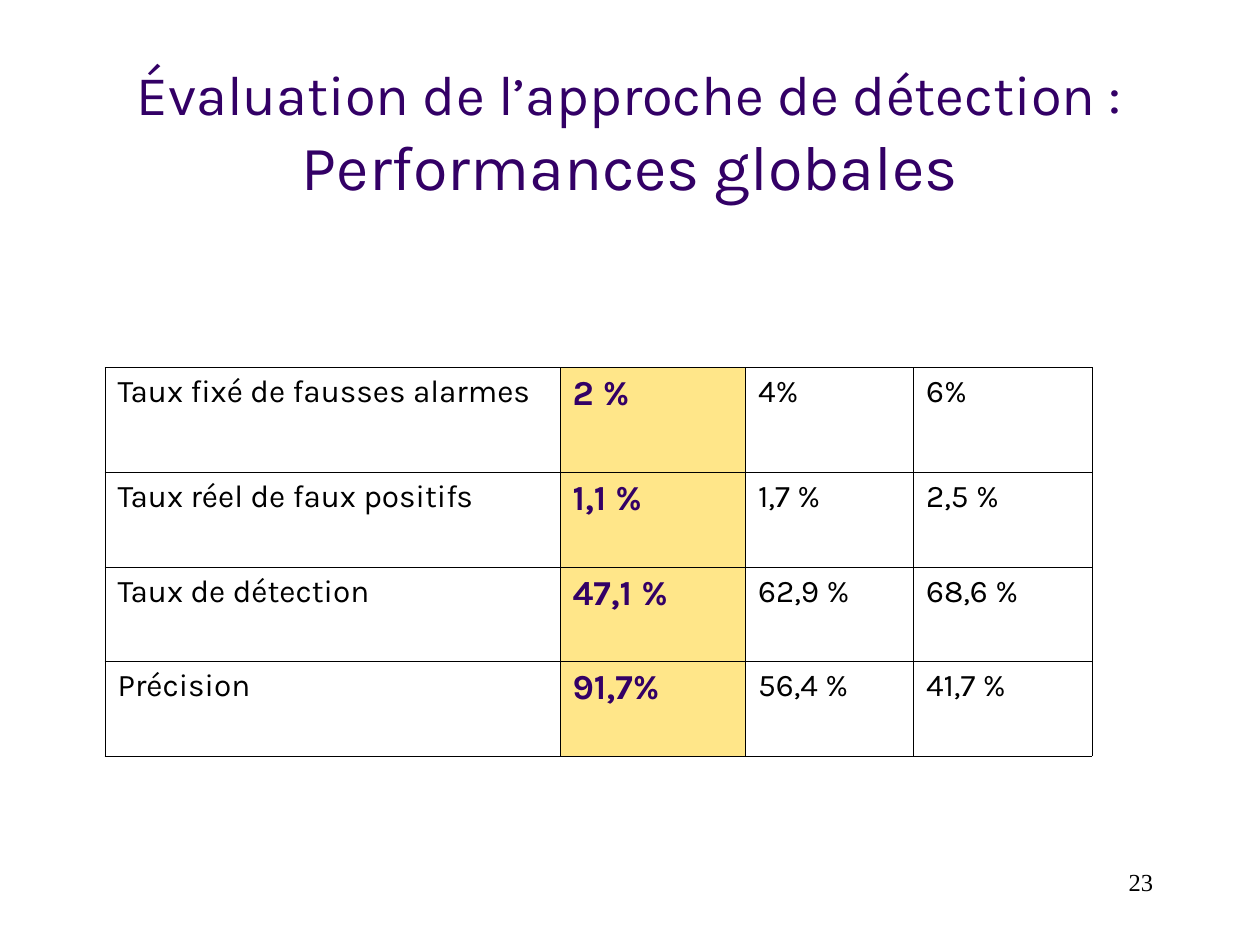
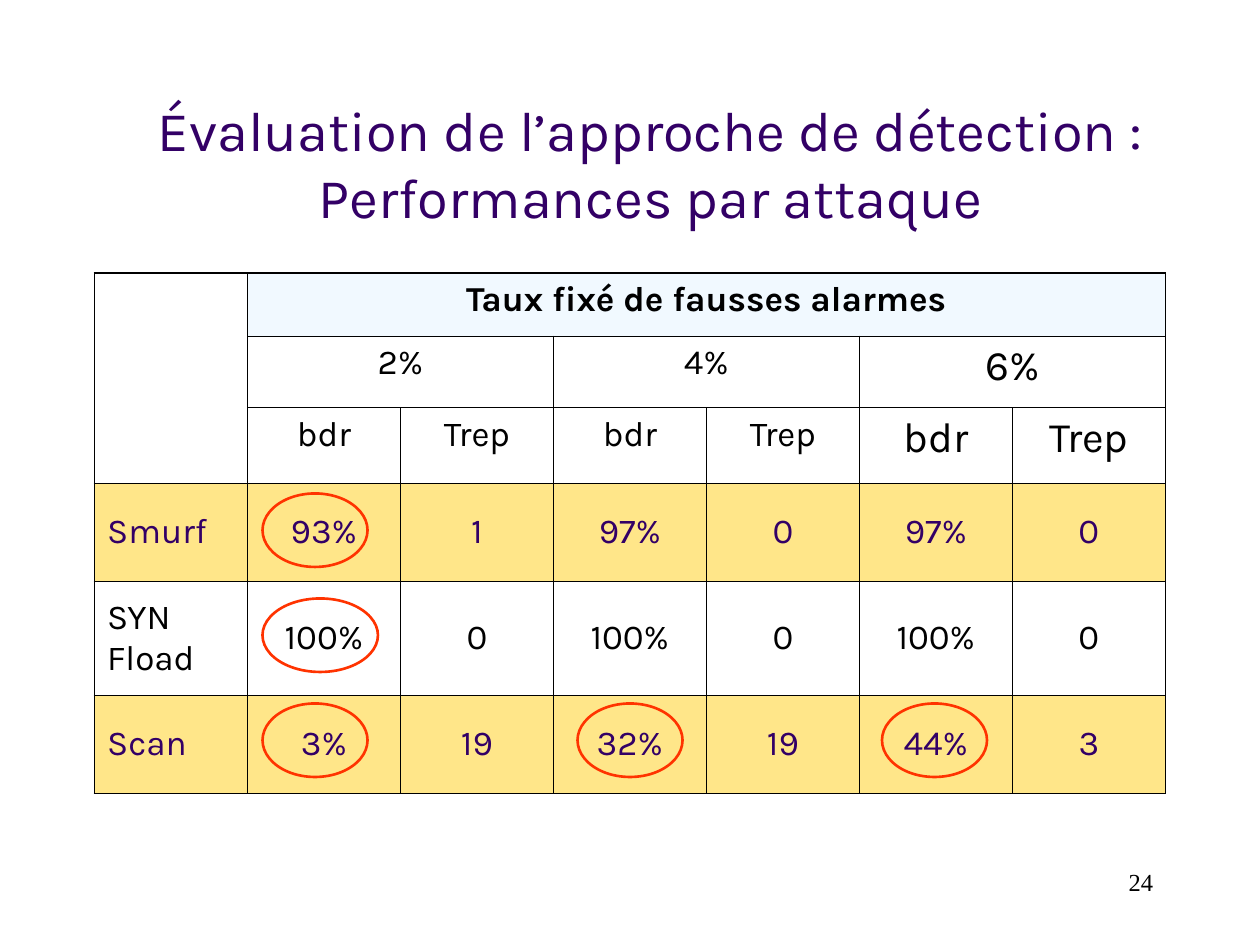
from lxml import etree
from pptx import Presentation
from pptx.dml.color import RGBColor
from pptx.enum.shapes import MSO_SHAPE
from pptx.enum.text import MSO_ANCHOR, MSO_AUTO_SIZE, PP_ALIGN
from pptx.oxml.ns import qn
from pptx.util import Pt

OVAL = MSO_SHAPE.OVAL
TOP, MIDDLE = MSO_ANCHOR.TOP, MSO_ANCHOR.MIDDLE
NO_AUTOFIT = MSO_AUTO_SIZE.NONE
LEFT, CENTER, RIGHT = PP_ALIGN.LEFT, PP_ALIGN.CENTER, PP_ALIGN.RIGHT
TITLE_ONLY = 5

# Shared colours, fonts and line widths
PURPLE, BLACK, WHITE = "330066", "000000", "FFFFFF"
YELLOW, PALE_BLUE, RED = "FFE689", "F1F9FF", "FF3300"
SANS, SERIF = "Karla", "Times New Roman"
THIN, THICK = 0.45, 1.08

TITLE = {"name": SANS, "size": 32, "color": PURPLE}
NUMBER = {"name": SERIF, "size": 14, "color": BLACK}
BODY = {"name": SANS, "size": 18, "color": BLACK, "bold": False}
STRONG = {**BODY, "size": 20, "color": PURPLE, "bold": True}
CELL = {**BODY, "size": 20}


def rgb(code):
    return RGBColor.from_string(code)


class SlideBuilder:
    """Holds the deck, its style and the current slide."""

    def __init__(self):
        self.deck = Presentation()
        self.deck.slide_width, self.deck.slide_height = Pt(720), Pt(540)
        self.page = None

    def start(self, title_spans, title_area, number):
        layout = self.deck.slide_layouts[TITLE_ONLY]
        self.page = self.deck.slides.add_slide(layout)
        title = self.page.shapes.title
        places = zip(("left", "top", "width", "height"), title_area)
        for name, value in places:
            setattr(title, name, Pt(value))
        frame = title.text_frame
        frame.auto_size, frame.vertical_anchor = NO_AUTOFIT, MIDDLE
        self.add_text(frame, title_spans, CENTER)
        self.number(number)

    def number(self, number):
        box = self.page.shapes.add_textbox(Pt(516), Pt(492), Pt(150), Pt(36))
        box.text_frame.word_wrap = True
        self.add_text(box.text_frame, [(str(number), NUMBER)], RIGHT)

    def add_text(self, frame, spans, align):
        para = frame.paragraphs[0]
        para.alignment = align
        for text, style in spans:
            span = para.add_run()
            span.text = text
            for name, value in style.items():
                if name == "color":
                    span.font.color.rgb = rgb(value)
                else:
                    setattr(span.font, name, Pt(value) if name == "size" else value)

    def table(self, left, top, widths, heights, outer=THIN):
        frame = self.page.shapes.add_table(
            len(heights), len(widths), Pt(left), Pt(top),
            Pt(sum(widths)), Pt(sum(heights)))
        table = frame.table
        table.first_row = table.horz_banding = False
        for column, width in zip(table.columns, widths):
            column.width = Pt(width)
        for row, height in zip(table.rows, heights):
            row.height = Pt(height)
        last_row, last_column = len(heights) - 1, len(widths) - 1
        for r in range(len(heights)):
            for c in range(len(widths)):
                edges = {"lnL": c == 0, "lnR": c == last_column,
                         "lnT": r == 0, "lnB": r == last_row}
                for edge, is_outer in edges.items():
                    self.border(table.cell(r, c), edge, outer if is_outer else THIN)
                self.fill(table.cell(r, c), WHITE)
        return table

    def border(self, cell, edge, width):
        properties = cell._tc.get_or_add_tcPr()
        line = etree.SubElement(properties, qn(f"a:{edge}"), w=str(Pt(width)))
        paint = etree.SubElement(line, qn("a:solidFill"))
        etree.SubElement(paint, qn("a:srgbClr"), val=BLACK)

    def fill(self, cell, color):
        cell.fill.solid()
        cell.fill.fore_color.rgb = rgb(color)

    def cell(self, cell, text, style, align=LEFT, anchor=TOP, color=WHITE):
        self.add_text(cell.text_frame, [(text, style)], align)
        cell.vertical_anchor = anchor
        self.fill(cell, color)

    def ring(self, left, top, width=60):
        ring = self.page.shapes.add_shape(OVAL, Pt(left), Pt(top), Pt(width), Pt(42))
        ring.shadow.inherit = False
        ring.fill.background()
        ring.line.color.rgb = rgb(RED)
        ring.line.width = Pt(1.5)


def global_results(builder):
    builder.start([("Évaluation de l’approche de détection : ", TITLE),
                   ("Performances globales", {**TITLE, "size": 36})],
                  (54, 30, 612, 90), 23)
    rates = [
        ("Taux fixé de fausses alarmes", "2 %", "4%", "6%"),
        ("Taux réel de faux positifs", "1,1 %", "1,7 %", "2,5 %"),
        ("Taux de détection", "47,1 %", "62,9 %", "68,6 %"),
        ("Précision", "91,7%", "56,4 %", "41,7 %"),
    ]
    table = builder.table(60, 210, [260, 106, 96, 102], [60, 54, 54, 54])
    for r, row in enumerate(rates):
        for c, text in enumerate(row):
            # The second column is the highlighted setting
            style, color = (STRONG, YELLOW) if c == 1 else (BODY, WHITE)
            builder.cell(table.cell(r, c), text, style, color=color)


def results_by_attack(builder):
    builder.start([("Évaluation de l’approche de détection : "
                    "Performances par attaque", TITLE)], (60, 48, 624, 90), 24)
    table = builder.table(54, 156, [612 / 7] * 7,
                          [36, 41, 43, 56.25, 65, 56.25], outer=THICK)

    # Header rows
    table.cell(0, 0).merge(table.cell(2, 0))
    table.cell(0, 1).merge(table.cell(0, 6))
    builder.cell(table.cell(0, 1), "Taux fixé de fausses alarmes",
                 {**CELL, "bold": True}, CENTER, color=PALE_BLUE)
    for c, rate, size in ((1, "2%", 20), (3, "4%", 20), (5, "6%", 24)):
        style = {**CELL, "size": size}
        table.cell(1, c).merge(table.cell(1, c + 1))
        builder.cell(table.cell(1, c), rate, style, CENTER)
        for offset, measure in enumerate(("bdr", "Trep")):
            builder.cell(table.cell(2, c + offset), measure, style, CENTER)

    # One row per attack
    attacks = [
        ("Smurf", "93%", "1", "97%", "0", "97%", "0"),
        ("SYN Fload", "100%", "0", "100%", "0", "100%", "0"),
        ("Scan", "3%", "19", "32%", "19", "44%", "3"),
    ]
    for r, row in enumerate(attacks):
        text_color, color = (BLACK, WHITE) if r % 2 else (PURPLE, YELLOW)
        for c, text in enumerate(row):
            builder.cell(table.cell(r + 3, c), text, {**CELL, "color": text_color},
                         CENTER if c else LEFT, MIDDLE, color)

    # Rings around the key detection rates
    for r, width in enumerate((60, 66, 60)):
        builder.ring(150, 282 + 60 * r, width)
    for left in (504, 330):
        builder.ring(left, 402)


def main():
    builder = SlideBuilder()
    global_results(builder)
    results_by_attack(builder)
    builder.deck.save("out.pptx")


if __name__ == "__main__":
    main()
